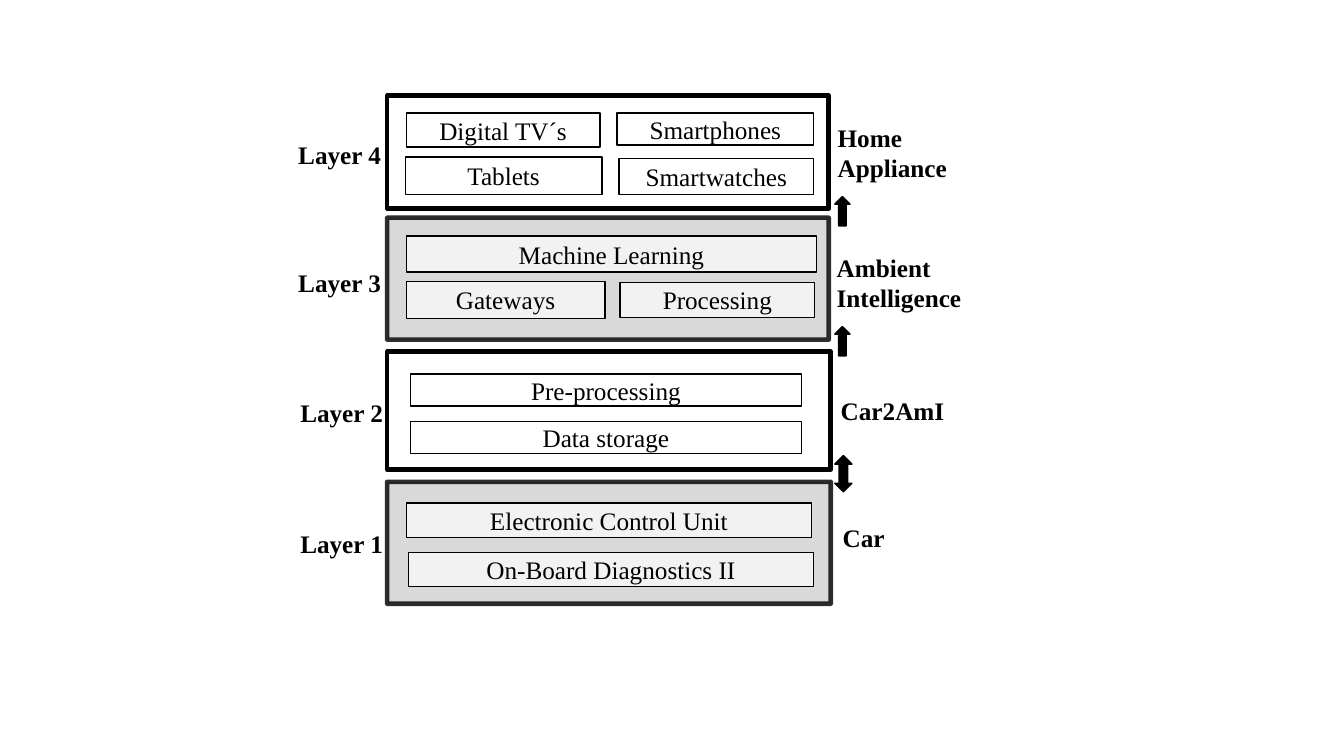
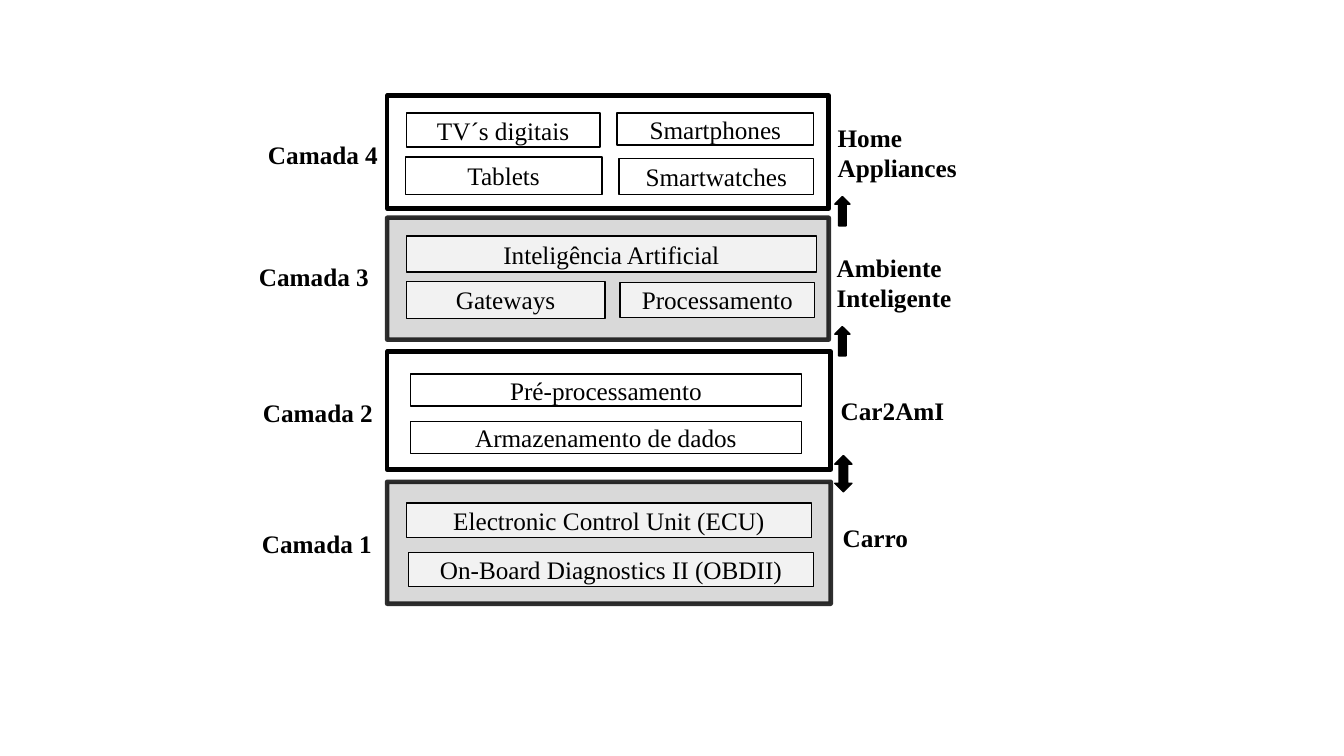
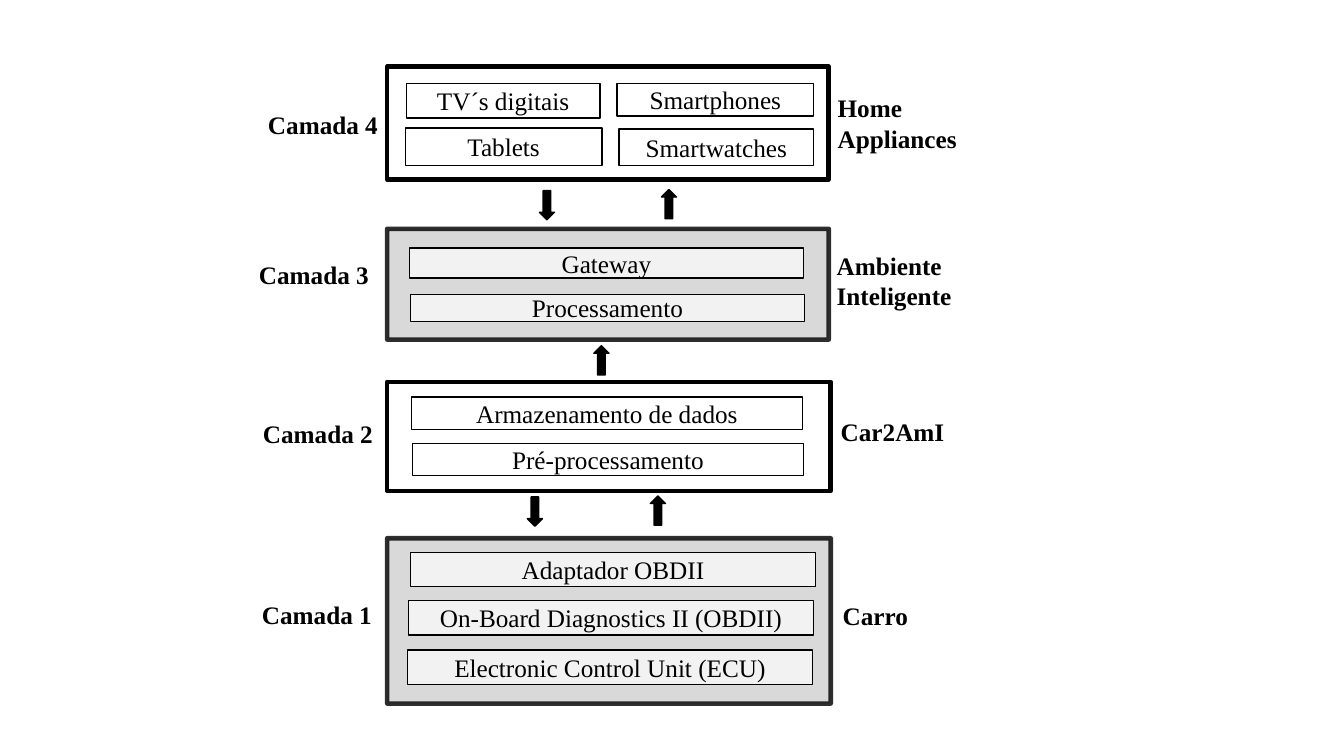
import pptx
import pptx.dml.color
import pptx.enum.shapes
import pptx.enum.text
import pptx.oxml
import pptx.oxml.ns
import pptx.util

Inches = pptx.util.Inches
Pt = pptx.util.Pt
SHAPE = pptx.enum.shapes.MSO_SHAPE
TEXT = pptx.enum.text

BLACK, WHITE, GREY, PALE = "000000", "FFFFFF", "D9D9D9", "F2F2F2"
FONT = {"name": "Times New Roman", "size": Pt(18)}
LEFT = 3.84
WIDTH = {4: 4.38, 3: 4.38, 2: 4.4, 1: 4.4}
SIDE = {4: (8.21, 1.43, 0.71), 3: (8.2, 1.44, 0.71),
        2: (8.24, 1.4, 0.4), 1: (8.26, 1.4, 0.4)}


def tint(code):
    return pptx.dml.color.RGBColor.from_string(code)


class Deck:
    """Holds the presentation, its style and the current slide."""

    def __init__(self):
        self.show = pptx.Presentation()
        self.show.slide_width = Inches(13.33)
        self.show.slide_height = Inches(7.5)

    def page(self):
        self.slide = self.show.slides.add_slide(self.show.slide_layouts[6])

    def words(self, frame, text, form, align):
        for key, value in form.items():
            setattr(frame, key, value)
        frame.text = text
        for para in frame.paragraphs:
            para.alignment = align
            para.font.color.rgb = tint(BLACK)
            for key, value in FONT.items():
                setattr(para.font, key, value)

    def shape(self, kind, box, fill, line=1):
        item = self.slide.shapes.add_shape(kind, *map(Inches, box))
        item.shadow.inherit = False
        item.fill.solid()
        item.fill.fore_color.rgb = tint(fill)
        item.line.color.rgb = tint(BLACK)
        item.line.width = Pt(line)
        return item

    def frame(self, box, dark):
        item = self.shape(SHAPE.RECTANGLE, box, GREY if dark else WHITE, 3.25)
        if dark:
            color = item.element.xpath("./p:spPr/a:ln//a:srgbClr")[0]
            color.append(pptx.oxml.parse_xml(
                "<a:alpha %s val='82000'/>" % pptx.oxml.ns.nsdecls("a")))

    def cell(self, text, box, dark):
        item = self.shape(SHAPE.RECTANGLE, box, PALE if dark else WHITE)
        form = {"word_wrap": True, "vertical_anchor": TEXT.MSO_ANCHOR.MIDDLE}
        self.words(item.text_frame, text, form, TEXT.PP_ALIGN.CENTER)

    def label(self, text, box, wrap):
        item = self.slide.shapes.add_textbox(*map(Inches, box))
        form = {"word_wrap": wrap,
                "auto_size": TEXT.MSO_AUTO_SIZE.SHAPE_TO_FIT_TEXT}
        self.words(item.text_frame, text, form, TEXT.PP_ALIGN.LEFT)
        for para in item.text_frame.paragraphs:
            para.font.bold = True

    def layer(self, level, band, side, texts):
        """Draw one layer; slot and title tops count from its frame's top."""
        top, height, drop, slots = band
        dark = level % 2 == 1
        self.frame((LEFT, top, WIDTH[level], height), dark)
        for text, (x, y, w, h) in zip(texts, slots):
            self.cell(text, (x, top + y, w, h), dark)
        x, w, h = SIDE[level]
        self.label(side, (x, top + drop, w, h), True)

    def arrow(self, x, y, kind=SHAPE.UP_ARROW, w=0.15, h=0.29):
        self.shape(kind, (x, y, w, h), BLACK)


def column(rows, w, h):
    return [(x, y, w, h) for x, y in rows]


HOME = [(4.03, 0.17, 1.92, 0.34), (6.12, 0.17, 1.95, 0.32),
        (4.02, 0.61, 1.95, 0.37), (6.14, 0.62, 1.93, 0.36)]

# Each band: top, height, drop of the side title, slots
CLOSE = {
    4: (0.95, 1.12, 0.21, HOME),
    3: (2.16, 1.21, 0.29, [(4.03, 0.18, 4.07, 0.36), (4.03, 0.63, 1.97, 0.37),
                           (6.15, 0.64, 1.93, 0.35)]),
    2: (3.49, 1.17, 0.38, column([(4.07, 0.22), (4.07, 0.69)], 3.88, 0.32)),
    1: (4.78, 1.21, 0.35, column([(4.03, 0.21), (4.05, 0.7)], 4.02, 0.34)),
}
WIDE = {
    4: (0.66, 1.12, 0.21, HOME),
    3: (2.27, 1.1, 0.16, [(4.06, 0.19, 3.91, 0.3), (4.07, 0.65, 3.91, 0.27)]),
    2: (3.79, 1.08, 0.29, column([(4.08, 0.15), (4.09, 0.61)], 3.88, 0.32)),
    1: (5.34, 1.64, 0.57,
        column([(4.07, 0.14), (4.05, 0.62), (4.04, 1.11)], 4.02, 0.34)),
}
UP, DOWN, BOTH = SHAPE.UP_ARROW, SHAPE.DOWN_ARROW, SHAPE.UP_DOWN_ARROW
BESIDE = [(8.28, 1.95), (8.28, 3.24), (8.28, 4.52, BOTH, 0.17, 0.36)]
BETWEEN = [(5.35, 1.89, DOWN), (6.56, 1.88, UP), (5.89, 3.43, UP),
           (5.23, 4.93, DOWN), (6.45, 4.92, UP)]

ENGLISH = {4: "Home Appliance", 3: "Ambient\nIntelligence",
           2: "Car2AmI", 1: "Car"}
LOCAL = {4: "Home Appliances", 3: "Ambiente\nInteligente",
         2: "Car2AmI", 1: "Carro"}
# Left and width of each layer's label
NEAR = {4: (2.86, 1.03), 3: (2.86, 1.03), 2: (2.88, 1.03), 1: (2.88, 1.03)}
FAR = {4: (2.56, 1.3), 3: (2.47, 1.37), 2: (2.51, 1.3), 1: (2.5, 1.3)}
GOODS = ["TV´s digitais", "Smartphones", "Tablets", "Smartwatches"]
ECU, OBD = "Electronic Control Unit (ECU)", "On-Board Diagnostics II (OBDII)"
STORE, PREP = "Armazenamento de dados", "Pré-processamento"

PAGES = [
    {"bands": CLOSE, "arrows": BESIDE, "sides": ENGLISH, "word": "Layer",
     "spans": NEAR, "tops": {4: 1.33, 3: 2.6, 2: 3.89, 1: 5.19},
     "texts": {4: ["Digital TV´s"] + GOODS[1:],
               3: ["Machine Learning", "Gateways", "Processing"],
               2: ["Pre-processing", "Data storage"],
               1: ["Electronic Control Unit", "On-Board Diagnostics II"]}},
    {"bands": CLOSE, "arrows": BESIDE, "sides": LOCAL, "word": "Camada",
     "spans": FAR, "tops": {4: 1.33, 3: 2.54, 2: 3.89, 1: 5.19},
     "texts": {4: GOODS,
               3: ["Inteligência Artificial", "Gateways", "Processamento"],
               2: [PREP, STORE], 1: [ECU, OBD]}},
    {"bands": WIDE, "arrows": BETWEEN, "sides": LOCAL, "word": "Camada",
     "spans": FAR, "tops": {4: 1.04, 3: 2.52, 2: 4.1, 1: 5.9},
     "texts": {4: GOODS, 3: ["Gateway", "Processamento"],
               2: [STORE, PREP], 1: ["Adaptador OBDII", OBD, ECU]}},
]


def main():
    deck = Deck()
    for page in PAGES:
        deck.page()
        for level, band in page["bands"].items():
            deck.layer(level, band, page["sides"][level], page["texts"][level])
            left, span = page["spans"][level]
            deck.label(f"{page['word']} {level}",
                       (left, page["tops"][level], span, 0.4), False)
        for spot in page["arrows"]:
            deck.arrow(*spot)
    deck.show.save("out.pptx")


if __name__ == "__main__":
    main()
